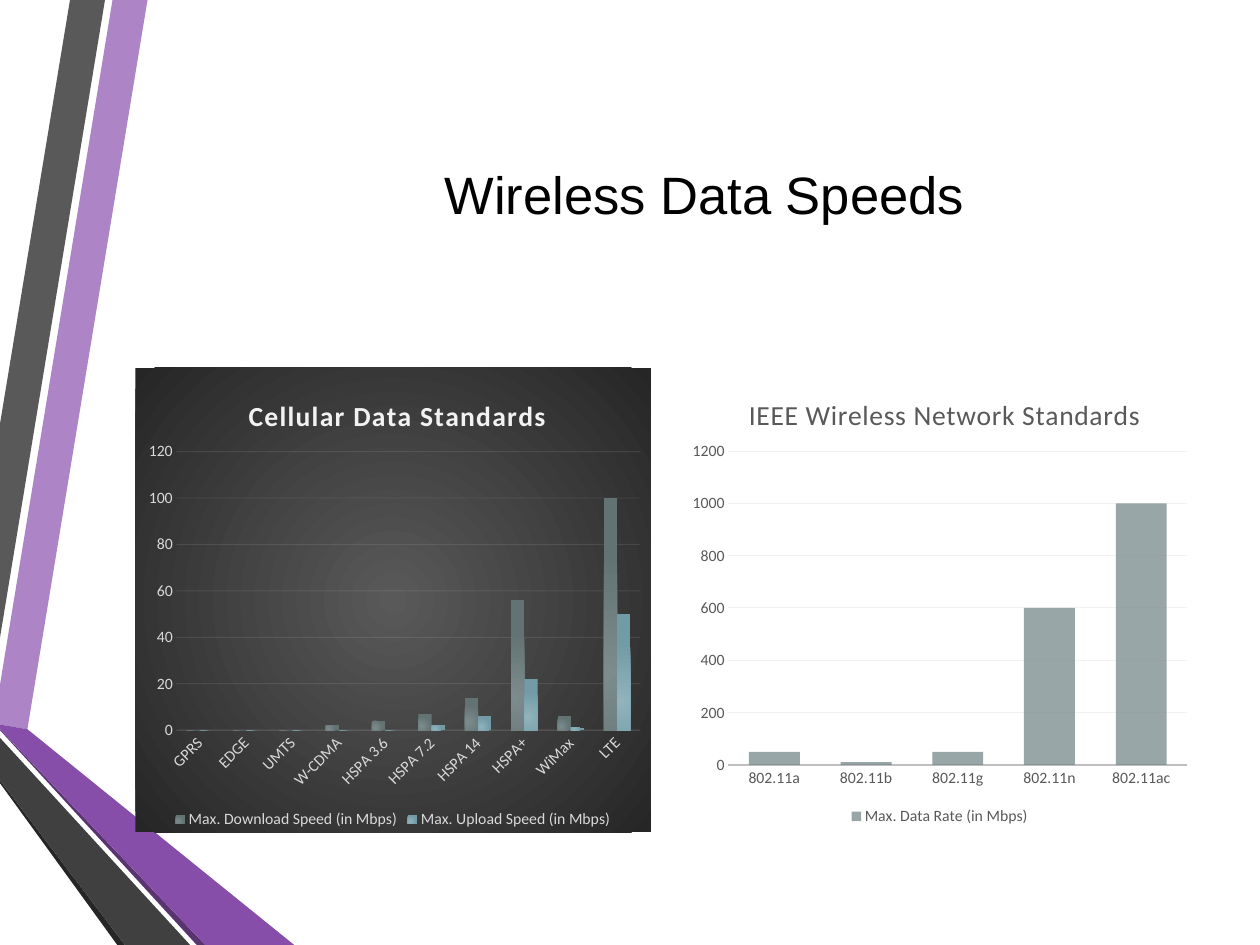
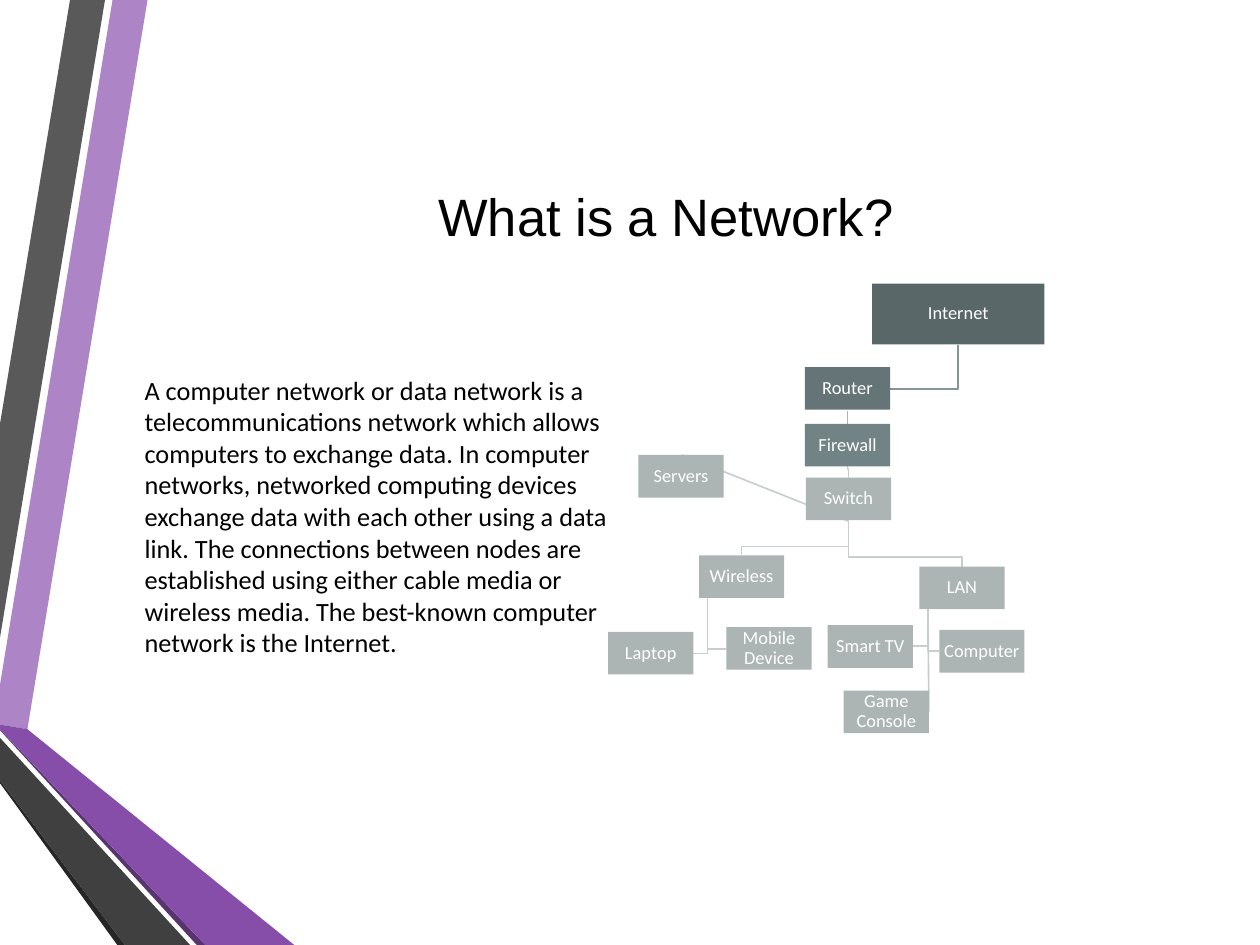
from lxml.etree import SubElement as sub
from pptx import Presentation
from pptx.chart.data import CategoryChartData
from pptx.dml.color import RGBColor
from pptx.enum.chart import XL_CHART_TYPE as CT, XL_LEGEND_POSITION as LP, XL_TICK_MARK as TM
from pptx.enum.shapes import MSO_CONNECTOR as MC, MSO_SHAPE as MS
from pptx.enum.text import MSO_ANCHOR as MA, PP_ALIGN as PA
from pptx.oxml import parse_xml
from pptx.oxml.ns import nsdecls, qn
from pptx.util import Inches, Pt

HEX = {
    "black": "000000", "white": "FFFFFF", "pale": "F2F2F2", "light": "D9D9D9",
    "mist": "BFBFBF", "gray": "595959", "iron": "404040", "coal": "262626",
    "lilac": "AD84C6", "violet": "874EA9", "plum": "5A3471",
    "sage": "6F8183", "slate": "596769", "stone": "657577", "steel": "728385",
    "ash": "ACB4B4", "fog": "C8CDCD", "moss": "879496",
    "sage in": "7C8C8D", "sage out": "637374", "teal in": "90B3BC", "teal out": "729BA5",
}
RGB = {name: RGBColor.from_string(code) for name, code in HEX.items()}


def outline(slide, points, close):
    """Draw a path through points given in inches."""
    (left, top), *rest = [(Inches(x), Inches(y)) for x, y in points]
    pen = slide.shapes.build_freeform(left, top, scale=1.0)
    pen.add_line_segments(rest, close=close)
    shape = pen.convert_to_shape()
    shape.shadow.inherit = False
    return shape


def write(frame, text, size, color, font="Calibri", align=PA.CENTER):
    frame.text = text
    frame.word_wrap = True
    frame.vertical_anchor = MA.MIDDLE
    para = frame.paragraphs[0]
    para.alignment = align
    face = para.runs[0].font
    face.size, face.name, face.color.rgb = Pt(size), font, RGB[color]
    return para


deck = Presentation()
deck.slide_width, deck.slide_height = Inches(13.32), Inches(9.99)
blank = deck.slide_layouts[6]
speeds, network = [deck.slides.add_slide(blank) for _ in range(2)]

# Bands shared by all slides, kept on the layout
bands = [
    ("lilac", [(0, 7.24), (0, 7.66), (0.29, 7.71), (1.56, 0), (1.19, 0)]),
    ("gray", [(1.11, 0), (0.74, 0), (0, 4.48), (0, 6.74)]),
    ("coal", [(0, 8.25), (0, 8.28), (1.24, 9.99), (1.32, 9.99)]),
    ("plum", [(0, 7.71), (0, 7.72), (2.08, 9.99), (2.17, 9.99)]),
    ("violet", [(0, 7.71), (2.17, 9.99), (3.11, 9.99), (0.29, 7.71), (0, 7.66)]),
    ("iron", [(0, 8.25), (1.32, 9.99), (2.01, 9.99), (0, 7.8)]),
]
for color, points in bands:
    band = outline(speeds, points, True)
    band.fill.solid()
    band.fill.fore_color.rgb = RGB[color]
    band.line.fill.background()
    blank.shapes.element.append(band.element)

titles = [
    (speeds, "Wireless Data Speeds", (2.43, 1.11, 10.03, 1.88)),
    (network, "What is a Network?", (1.43, 1, 11.22, 2.55)),
]
for slide, text, spot in titles:
    box = slide.shapes.add_textbox(*map(Inches, spot))
    write(box.text_frame, text, 40, "black", "Arial")

# Charts: "plot" is x, y, width, height and "head" is x, y, as shares of the chart
charts = [
    dict(
        title="Cellular Data Standards", spot=(1.43, 3.89, 5.45, 4.91), dark=True,
        cats=["GPRS", "EDGE", "UMTS", "W-CDMA", "HSPA 3.6", "HSPA 7.2",
              "HSPA 14", "HSPA+", "WiMax", "LTE"],
        rows={"Max. Download Speed (in Mbps)": [0, 0, 0, 2, 4, 7, 14, 56, 6, 100],
              "Max. Upload Speed (in Mbps)": [0, 0, 0, 0, 0, 2, 6, 22, 1, 50]},
        ink="light", head_ink="pale", axis="pale", width=0.75, space=100,
        gap=150, lap=0, step=20, plot=(0.08, 0.18, 0.9, 0.6), head=(0.21, 0.05),
    ),
    dict(
        title="IEEE Wireless Network Standards", spot=(7.21, 3.89, 5.45, 4.88), dark=False,
        cats=["802.11a", "802.11b", "802.11g", "802.11n", "802.11ac"],
        rows={"Max. Data Rate (in Mbps)": [50, 10, 50, 600, 1000]},
        ink="gray", head_ink="gray", axis="mist", width=1.25, space=50,
        gap=80, lap=25, step=200, plot=(0.09, 0.18, 0.89, 0.68), head=(0.12, 0.05),
    ),
]
for item in charts:
    data = CategoryChartData()
    data.categories = item["cats"]
    for name, vals in item["rows"].items():
        data.add_series(name, vals)
    spot = map(Inches, item["spot"])
    chart = speeds.shapes.add_chart(CT.COLUMN_CLUSTERED, *spot, data).chart
    chart.font.size, chart.font.name = Pt(10), "Calibri"
    root = chart.element

    chart.has_title = True
    frame = chart.chart_title.text_frame
    frame.text = item["title"]
    face = frame.paragraphs[0].runs[0].font
    face.size, face.name, face.bold = Pt(21), "Calibri", item["dark"]
    face.color.rgb = RGB[item["head_ink"]]
    root.xpath("//c:title//a:r/a:rPr")[0].set("spc", str(item["space"]))
    chart.has_legend = True
    chart.legend.position = LP.BOTTOM
    chart.legend.include_in_layout = False

    cat, val = chart.category_axis, chart.value_axis
    for part in (cat.tick_labels, val.tick_labels, chart.legend):
        part.font.size, part.font.name = Pt(12), "Calibri"
        part.font.color.rgb = RGB[item["ink"]]
    for axis in (cat, val):
        axis.major_tick_mark = axis.minor_tick_mark = TM.NONE
    val.minimum_scale, val.maximum_scale = 0, item["step"] * 6
    val.major_unit = item["step"]
    val.format.line.fill.background()
    cat.format.line.color.rgb = RGB[item["axis"]]
    cat.format.line.width = Pt(item["width"])
    grid = val.major_gridlines.format.line
    grid.color.rgb, grid.width = RGB["pale"], Pt(0.75)

    plot = chart.plots[0]
    plot.gap_width, plot.overlap, plot.vary_by_categories = item["gap"], item["lap"], False
    for row in plot.series:
        row.format.fill.solid()
        row.format.fill.fore_color.rgb = RGB["sage"]

    # Fixed places for the title and the inner plot area
    for tag, at, key in (("c:title", 1, "head"), ("c:plotArea", 0, "plot")):
        owner = root.xpath("//" + tag)[0]
        for old in owner.findall(qn("c:layout")):
            owner.remove(old)
        layout = parse_xml(f"<c:layout {nsdecls('c')}><c:manualLayout/></c:layout>")
        owner.insert(at, layout)
        if key == "plot":
            sub(layout[0], qn("c:layoutTarget")).set("val", "inner")
        for side in "xy":
            sub(layout[0], qn(f"c:{side}Mode")).set("val", "edge")
        for side, share in zip("xywh", item[key]):
            sub(layout[0], qn(f"c:{side}")).set("val", str(share))

    if not item["dark"]:
        tint = root.xpath("//c:ser/c:spPr//a:srgbClr")[0]
        sub(tint, qn("a:alpha")).set("val", "70000")
        continue
    for tint in root.xpath("//c:majorGridlines//a:srgbClr | //c:catAx/c:spPr//a:srgbClr"):
        sub(tint, qn("a:alpha")).set("val", "10000")
    root.xpath("//c:catAx/c:txPr/a:bodyPr")[0].set("rot", "-2700000")
    back = parse_xml(f"<c:spPr {nsdecls('c', 'a')}><a:solidFill/><a:ln><a:noFill/></a:ln></c:spPr>")
    root.find(qn("c:chart")).addnext(back)
    fills = [
        (back, "gray", "coal", (50, 50, 50, 50)),
        *zip(root.xpath("//c:ser/c:spPr"), ("sage in", "teal in"),
             ("sage out", "teal out"), [(50, 100, 100, 50)] * 2),
    ]
    for owner, inner, outer, focus in fills:
        sides = " ".join(f'{side}="{share * 1000}"' for side, share in zip("ltrb", focus))
        radial = parse_xml(
            f'<a:gradFill {nsdecls("a")}><a:gsLst>'
            f'<a:gs pos="0"><a:srgbClr val="{HEX[inner]}"/></a:gs>'
            f'<a:gs pos="100000"><a:srgbClr val="{HEX[outer]}"/></a:gs></a:gsLst>'
            f'<a:path path="circle"><a:fillToRect {sides}/></a:path></a:gradFill>')
        owner.replace(owner.find(qn("a:solidFill")), radial)

# Definition of a network
box = network.shapes.add_textbox(*map(Inches, (1.43, 3, 5.45, 4.91)))
para = write(
    box.text_frame,
    "A computer network or data network is a telecommunications network which allows "
    "computers to exchange data. In computer networks, networked computing devices "
    "exchange data with each other using a data link. The connections between nodes are "
    "established using either cable media or wireless media. The best-known computer "
    "network is the Internet.",
    20, "black", align=PA.LEFT)
para.space_after = Pt(8)

# Network tree: links first, then the nodes over them
links = [
    ("fog", [(8.97, 5.51), (7.21, 4.81)]),
    ("fog", [(9.81, 6.44), (9.81, 6.83), (9.65, 6.83)]),
    ("fog", [(9.81, 6.44), (9.82, 7.52)]),
    ("fog", [(9.81, 6.44), (9.81, 6.88), (9.93, 6.88)]),
    ("fog", [(8.97, 5.51), (8.97, 5.89), (10.17, 5.89), (10.17, 5.99)]),
    ("fog", [(7.48, 6.32), (7.48, 6.86), (7.68, 6.86)]),
    ("fog", [(7.48, 6.32), (7.48, 6.91), (7.33, 6.91)]),
    ("fog", [(8.97, 5.51), (8.97, 5.78), (7.84, 5.78), (7.84, 5.87)]),
    ("fog", [(8.96, 4.93), (8.96, 4.96), (8.97, 4.96), (8.97, 5.05)]),
    ("ash", [(8.96, 4.34), (8.96, 4.48)]),
    ("moss", [(10.13, 3.65), (10.13, 4.11), (9.41, 4.11)]),
]
for color, points in links:
    if len(points) == 2:
        ends = [Inches(n) for point in points for n in point]
        link = network.shapes.add_connector(MC.STRAIGHT, *ends)
        sub(link.element.spPr, qn("a:effectLst"))
    else:
        link = outline(network, points, False)
        link.fill.background()
    link.line.color.rgb, link.line.width = RGB[color], Pt(1.25)

nodes = [
    ("Internet", 9.22, 3, "slate"), ("Router", 8.51, 3.88, "stone"),
    ("Firewall", 8.51, 4.48, "steel"), ("Switch", 8.52, 5.05, "ash"),
    ("Wireless", 7.39, 5.87, "ash"), ("Laptop", 6.43, 6.68, "ash"),
    ("Mobile Device", 7.68, 6.63, "ash"), ("LAN", 9.72, 5.99, "ash"),
    ("Computer", 9.93, 6.66, "ash"), ("Game Console", 8.92, 7.3, "ash"),
    ("Smart TV", 8.75, 6.61, "ash"), ("Servers", 6.75, 4.81, "ash"),
]
for name, left, top, color in nodes:
    size = (1.82, 0.64) if name == "Internet" else (0.9, 0.45)
    node = network.shapes.add_shape(MS.RECTANGLE, *map(Inches, (left, top, *size)))
    node.shadow.inherit = False
    node.fill.solid()
    node.fill.fore_color.rgb = RGB[color]
    node.line.fill.background()
    frame = node.text_frame
    frame.margin_left = frame.margin_right = Inches(0.01)
    frame.margin_top = frame.margin_bottom = Inches(0.01)
    write(frame, name, 14, "white").line_spacing = 0.9

deck.save("out.pptx")
